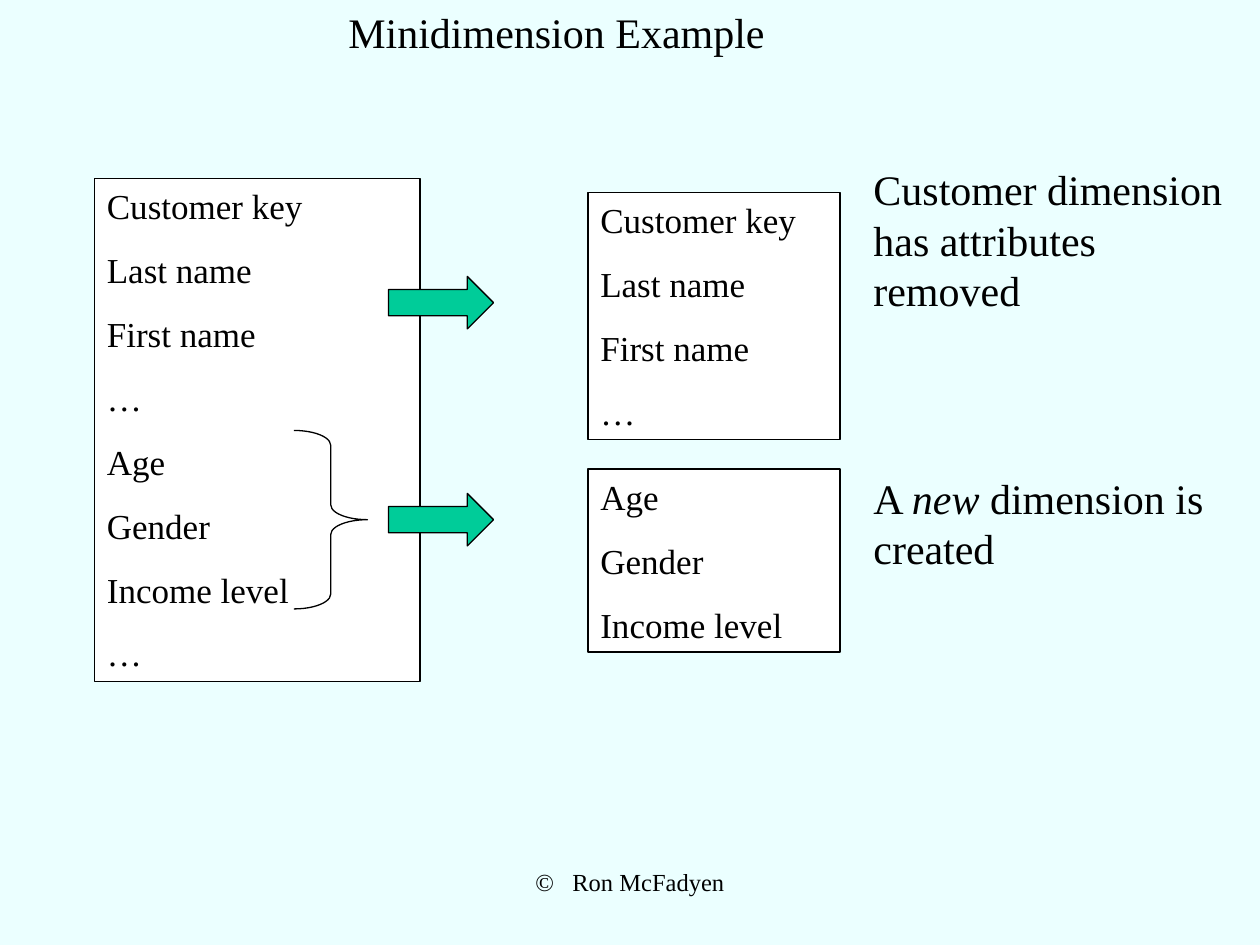
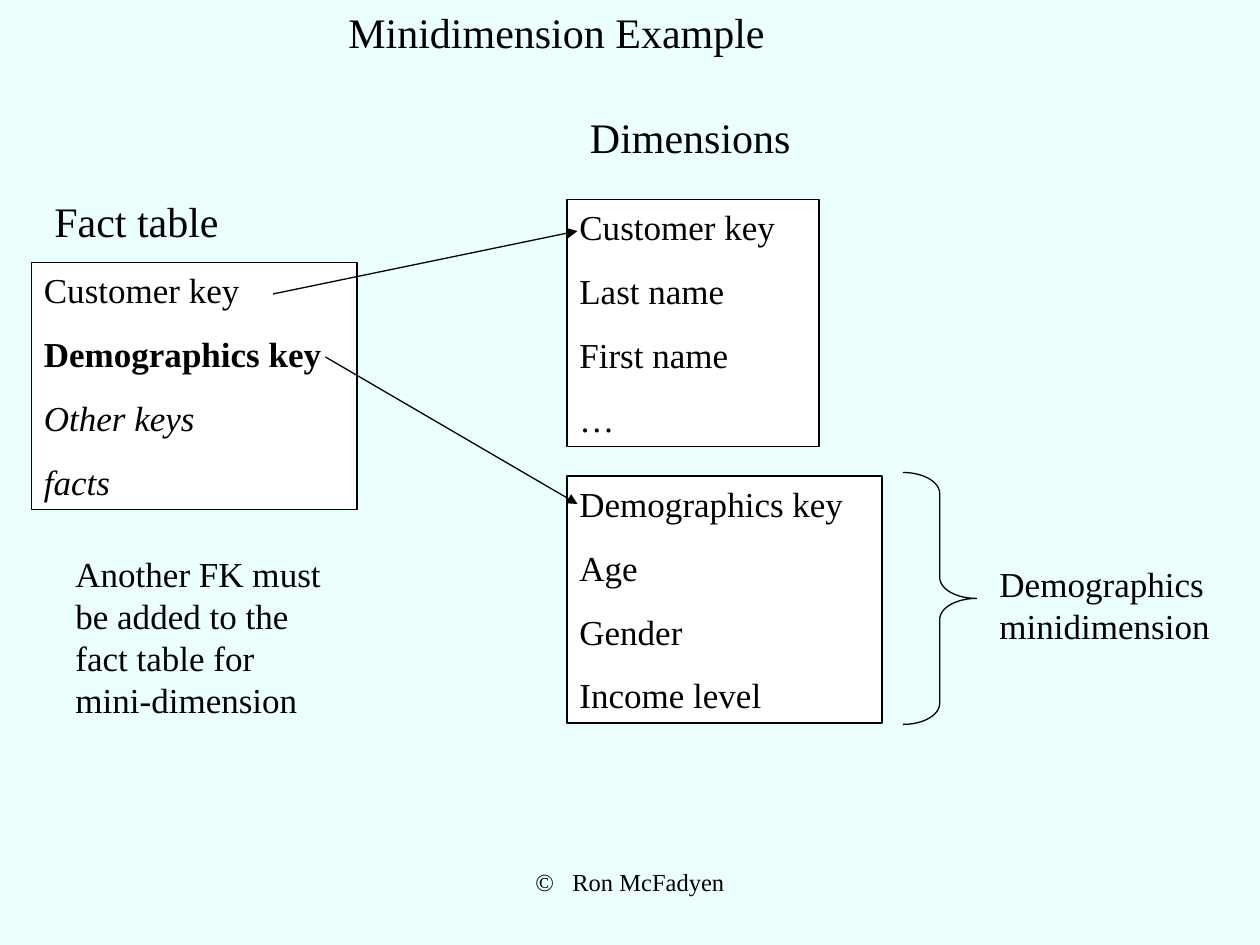
from lxml.etree import SubElement
from pptx import Presentation
from pptx.dml.color import RGBColor
from pptx.enum.shapes import MSO_CONNECTOR as Connector, MSO_SHAPE as Shape
from pptx.enum.text import MSO_ANCHOR as Anchor, PP_ALIGN as Align
from pptx.oxml.ns import qn
from pptx.util import Inches, Pt

PAPER = RGBColor(0xEB, 0xFF, 0xFF)
WHITE = RGBColor(0xFF, 0xFF, 0xFF)
BLACK = RGBColor(0, 0, 0)
GREEN = RGBColor(0, 0xCC, 0x99)
FONT = "Times New Roman"
UNITS_PER_INCH = 12
ROW_PITCH, ROW_TRIM, STACK_GAP = 6.1, 0.88, 2.82
HEADING, BODY, SMALL = 24, 20, 14
BOLD, ITALIC = {"bold": True}, {"italic": True}


def apply(target, formats):
    for name, value in formats.items():
        setattr(target, name, value)


def units(*values):
    return [Inches(value / UNITS_PER_INCH) for value in values]


class DiagramDeck:
    def __init__(self):
        self.deck = Presentation()
        apply(self.deck, {"slide_width": Inches(10), "slide_height": Inches(7.5)})
        self.page = None

    def add_page(self, title):
        self.page = self.deck.slides.add_slide(self.deck.slide_layouts[6])
        background = self.page.background.fill
        background.solid()
        background.fore_color.rgb = PAPER
        self.text(16, 0, 74, 6, [title], HEADING, Align.CENTER)
        self.text(41, 82, 38, 6, ["©   Ron McFadyen"], SMALL, Align.CENTER)

    def fill_text(self, box, lines, size, align=Align.LEFT):
        frame = box.text_frame
        apply(frame, {"word_wrap": True, "vertical_anchor": Anchor.TOP})
        for index, line in enumerate(lines):
            para = frame.paragraphs[0] if index == 0 else frame.add_paragraph()
            para.alignment = align
            para.space_before = Pt(size * 0.625 if index else 0)
            for words, style in [(line, {})] if isinstance(line, str) else line:
                span = para.add_run()
                span.text = words
                apply(span.font, {"name": FONT, "size": Pt(size), **style})
                span.font.color.rgb = BLACK

    def text(self, column, row, width, height, lines, size=BODY, align=Align.LEFT):
        box = self.page.shapes.add_textbox(*units(column, row, width, height))
        self.fill_text(box, lines, size, align)

    def outline(self, item):
        item.line.color.rgb = BLACK
        item.line.width = Pt(0.75)

    def shape(self, kind, column, row, width, height, fill=None):
        item = self.page.shapes.add_shape(kind, *units(column, row, width, height))
        item.shadow.inherit = False
        if fill is None:
            item.fill.background()
        else:
            item.fill.solid()
            item.fill.fore_color.rgb = fill
        self.outline(item)
        return item

    def attribute_boxes(self, column, row, *boxes):
        for width, lines in boxes:
            height = len(lines) * ROW_PITCH - ROW_TRIM
            box = self.shape(Shape.RECTANGLE, column, row, width, height, WHITE)
            self.fill_text(box, lines, BODY)
            row += height + STACK_GAP

    def block_arrow(self, column, row):
        self.shape(Shape.RIGHT_ARROW, column, row, 10, 5, GREEN)

    def brace(self, column, row, height, width=7):
        item = self.shape(Shape.RIGHT_BRACE, column, row, width, height)
        item.adjustments[0] = height / 12 / width

    def key_link(self, *ends):
        link = self.page.shapes.add_connector(Connector.STRAIGHT, *units(*ends))
        self.outline(link)
        properties = link._element.spPr
        SubElement(properties.find(qn("a:ln")), qn("a:tailEnd"), type="triangle")
        SubElement(properties, qn("a:effectLst"))


def main():
    diagram = DiagramDeck()
    names = ["Customer key", "Last name", "First name", "…"]
    demographics = ["Age", "Gender", "Income level"]

    diagram.add_page("Minidimension Example")
    diagram.attribute_boxes(9, 17, (31, names + demographics + ["…"]))
    diagram.brace(28, 41, 17)
    for row in (26.33, 47):
        diagram.block_arrow(37, row)
    diagram.attribute_boxes(56, 18.33, (24, names), (24, demographics))
    diagram.text(82, 15, 38, 15.6, ["Customer dimension has attributes removed"], HEADING)
    created = [("A ", {}), ("new", ITALIC), (" dimension is created", {})]
    diagram.text(82, 44.4, 38, 10.8, [created], HEADING)

    diagram.add_page("Minidimension Example")
    fact_keys = ["Customer key", [("Demographics key", BOLD)],
                 [("Other keys", ITALIC)], [("facts", ITALIC)]]
    diagram.attribute_boxes(3, 25, (31, fact_keys))
    diagram.attribute_boxes(54, 19, (24, names), (30, ["Demographics key"] + demographics))
    diagram.key_link(26, 28, 55, 22)
    diagram.key_link(31, 34, 55, 48)
    diagram.brace(86, 45, 24)
    diagram.text(94, 53, 26, 9.2, ["Demographics minidimension"])
    diagram.text(4, 18, 36, 6, ["Fact table"], HEADING)
    diagram.text(55, 10, 32, 6, ["Dimensions"], HEADING)
    diagram.text(6, 52, 26, 17.3,
                 ["Another FK must be added to the fact table for mini-dimension"])

    diagram.deck.save("out.pptx")


if __name__ == "__main__":
    main()
